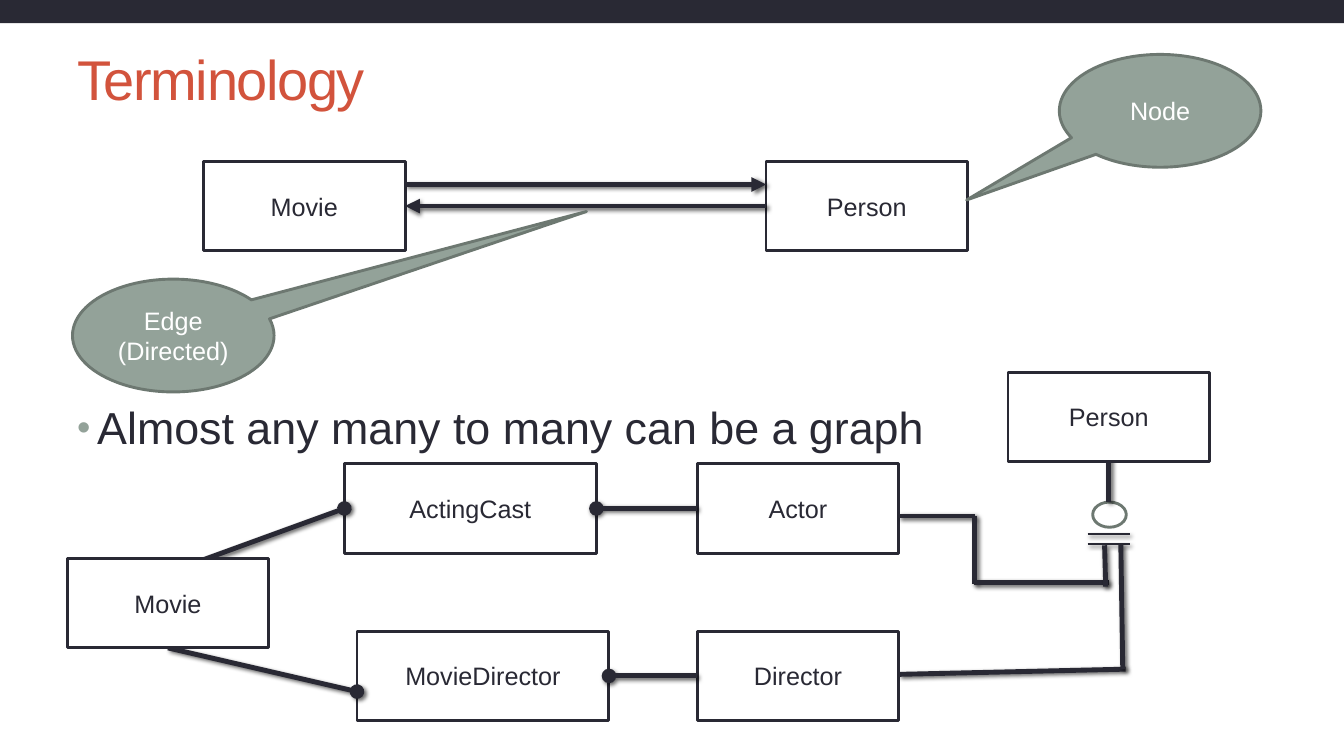
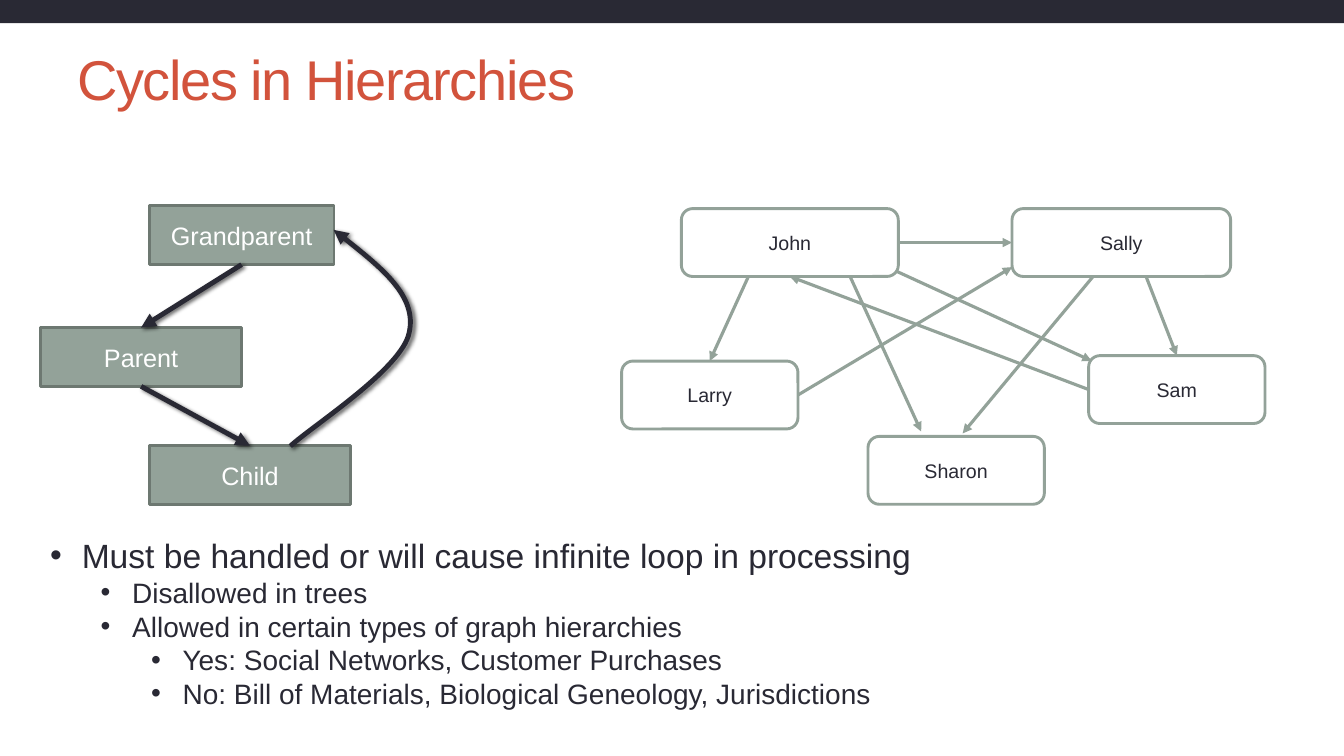
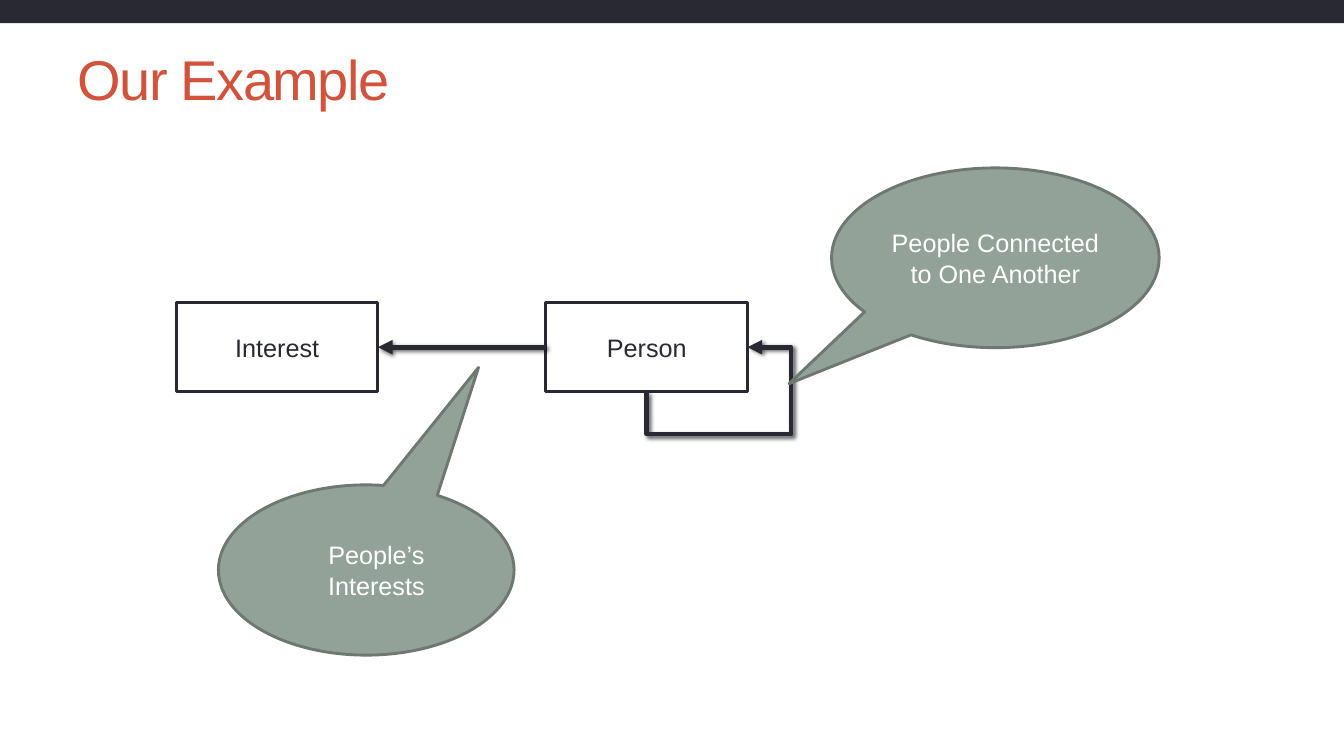
from lxml import etree
from pptx import Presentation
from pptx.dml.color import RGBColor
from pptx.enum.shapes import MSO_CONNECTOR, MSO_SHAPE
from pptx.enum.text import MSO_ANCHOR, PP_ALIGN
from pptx.oxml.ns import qn
from pptx.util import Pt

RECTANGLE, ROUNDED = MSO_SHAPE.RECTANGLE, MSO_SHAPE.ROUNDED_RECTANGLE
OVAL, CALLOUT = MSO_SHAPE.OVAL, MSO_SHAPE.OVAL_CALLOUT
STRAIGHT, ELBOW = MSO_CONNECTOR.STRAIGHT, MSO_CONNECTOR.ELBOW
MIDDLE, TOP_ANCHOR = MSO_ANCHOR.MIDDLE, MSO_ANCHOR.TOP
ALIGN_LEFT, ALIGN_CENTER = PP_ALIGN.LEFT, PP_ALIGN.CENTER

FONT = "Arial"
DARK = RGBColor(0x29, 0x29, 0x34)
RED = RGBColor(0xD2, 0x53, 0x3C)
SAGE = RGBColor(0x93, 0xA2, 0x99)
DEEP_SAGE = RGBColor(0x6D, 0x78, 0x71)
WHITE = RGBColor(0xFF, 0xFF, 0xFF)

# Looks: fill, outline, text colour, text size
PLAIN = (WHITE, DARK, DARK, 18)
FILLED = (SAGE, DEEP_SAGE, WHITE, 18)
NETWORK = (WHITE, SAGE, DARK, 14)
RING = (WHITE, DEEP_SAGE, DARK, 18)

# Anchor points as fractions of a box
LEFT, RIGHT, TOP, BOTTOM = (0, 0.5), (1, 0.5), (0.5, 0), (0.5, 1)
CENTER = (0.5, 0.5)

# Terminology: boxes are label, left, top, width, height
WIDTH, HEIGHT = 144, 64
TERM_BOXES = {
    "top person": ("Person", 547.2, 115.2, WIDTH, HEIGHT),
    "top movie": ("Movie", 145.4, 115.2, WIDTH, HEIGHT),
    "actor": ("Actor", 498, 331.2, WIDTH, HEIGHT),
    "cast": ("ActingCast", 246, 331.2, 180, HEIGHT),
    "director": ("Director", 498, 450.8, WIDTH, HEIGHT),
    "movie director": ("MovieDirector", 255, 450.8, 180, HEIGHT),
}
TERM_FRONT_BOXES = {
    "movie": ("Movie", 48, 398.8, WIDTH, HEIGHT),
    "person": ("Person", 720, 265.8, WIDTH, HEIGHT),
}
# Edges are start, end, end marker; an end is (box, anchor) or (x, y)
TERM_EDGES = [
    (("top person", LEFT), ("top movie", RIGHT), "triangle"),
    ((289.4, 131.8), (547.2, 131.8), "triangle"),
    ((120, 409), ("cast", LEFT), "oval"),
    (("actor", LEFT), ("cast", RIGHT), "oval"),
    (("movie", BOTTOM), (255, 494), "oval"),
    (("director", LEFT), ("movie director", RIGHT), "oval"),
    (("person", CENTER), (792, 358.6), None),
    ((642, 481.7), (804, 478), None),
    ((642, 368.6), (696.2, 368.6), None),
    ((696.2, 368.6), (696.2, 417), None),
    ((695.5, 416.2), (792, 416.2), None),
    ((789, 389.5), (789.8, 419), None),
    ((800.6, 388.8), (802, 478), None),
]
SUBTYPE_RING = ("", 780.5, 358.6, 24, 18)
SUBTYPE_BARS = [((776.9, y), (807.1, y), None) for y in (381.6, 388.8)]
# Callouts are box, pointer tip, extra left inset
TERM_CALLOUTS = [
    (("Node", 756.7, 38.9, WIDTH, 80.6), (-0.96, 0.79), 0),
    (("Edge (Directed)", 51.8, 199.4, WIDTH, 80.6), (2.05, -1.1), 0),
]
TERM_BULLETS = [(0, "Almost any many to many can be a graph", 32)]

# Cycles in Hierarchies
FAMILY_BOXES = {
    "parent": ("Parent", 28.8, 234, WIDTH, 42),
    "grandparent": ("Grandparent", 106.6, 147, 132, 42),
    "child": ("Child", 106.6, 318.4, WIDTH, 42),
}
FAMILY_EDGES = [
    (("grandparent", BOTTOM), ("parent", TOP), "triangle"),
    (("parent", BOTTOM), ("child", TOP), "triangle"),
]
CYCLE_CURVE = [(207.4, 318.7), (222.5, 304.6), (287.3, 263.5), (292.3, 237.6),
               (298.1, 211.7), (268.6, 187.9), (238.3, 164.2)]
NETWORK_BOXES = {
    "Sam": ("Sam", 777.6, 254, 126, 48.5),
    "Larry": ("Larry", 444, 257.9, 126, 48.5),
    "John": ("John", 486.7, 149, 155, 48.5),
    "Sally": ("Sally", 722.9, 149, 156.2, 48.5),
    "Sharon": ("Sharon", 620, 311.7, 126, 48.5),
}
NETWORK_EDGES = [
    (("Larry", RIGHT), (723, 190.8), "triangle"),
    ((596.2, 173.5), (779.8, 257.8), "triangle"),
    ((545.8, 173), ("Larry", TOP), "triangle"),
    ((596.2, 173.5), (658, 308.2), "triangle"),
    (("Sally", CENTER), (687.6, 309.6), "triangle"),
    ((809.3, 173.5), ("Sam", TOP), "triangle"),
    (("John", RIGHT), ("Sally", LEFT), "triangle"),
    (("Sam", LEFT), ("John", BOTTOM), "triangle"),
]
CYCLE_BULLETS = [
    (0, "Must be handled or will cause infinite loop in processing", 24),
    (1, "Disallowed in trees", 20),
    (1, "Allowed in certain types of graph hierarchies", 20),
    (2, "Yes: Social Networks, Customer Purchases", 20),
    (2, "No: Bill of Materials, Biological Geneology, Jurisdictions", 20),
]

# Our Example
EXAMPLE_BOXES = {
    "interest": ("Interest", 126, 216, WIDTH, HEIGHT),
    "person": ("Person", 390, 216, WIDTH, HEIGHT),
}
EXAMPLE_EDGES = [(("person", LEFT), ("interest", RIGHT), "triangle")]
EXAMPLE_CALLOUTS = [
    (("People Connected to One Another", 594, 120, 234, 128.4), (-0.63, 0.7), 0),
    (("People’s Interests", 156, 346.4, 211.2, 121.6), (0.38, -1.19), 14.4),
]


def add_element(parent, tag, **attributes):
    return etree.SubElement(parent, qn(tag), attributes)


def points(*lengths):
    return [Pt(length) for length in lengths]


def write(paragraph, text, size, color):
    run = paragraph.add_run()
    run.text = text
    run.font.name, run.font.size = FONT, Pt(size)
    run.font.color.rgb = color
    return run


def new_slide(presentation, title):
    """Add a slide with the top band and its title."""
    slide = presentation.slides.add_slide(presentation.slide_layouts[5])
    band = slide.shapes.add_shape(RECTANGLE, *points(0, -0.7, 960, 17.3))
    band.shadow.inherit = False
    band.fill.solid()
    band.fill.fore_color.rgb = DARK
    band.line.fill.background()

    placeholder = slide.shapes.title
    placeholder.left, placeholder.top, placeholder.width, placeholder.height = \
        points(48, 21.6, 856, 68.4)
    placeholder.text_frame.vertical_anchor = MIDDLE
    paragraph = placeholder.text_frame.paragraphs[0]
    paragraph.alignment = ALIGN_LEFT
    run = write(paragraph, title, 40, RED)
    run.font._element.set("spc", "-100")
    return slide


def add_box(slide, box, look, preset=RECTANGLE):
    label, *place = box
    fill, outline, text_color, size = look
    shape = slide.shapes.add_shape(preset, *points(*place))
    shape.shadow.inherit = False
    shape.fill.solid()
    shape.fill.fore_color.rgb = fill
    shape.line.color.rgb = outline
    shape.line.width = Pt(2.08)
    if label:
        shape.text_frame.vertical_anchor = MIDDLE
        paragraph = shape.text_frame.paragraphs[0]
        paragraph.alignment = ALIGN_CENTER
        write(paragraph, label, size, text_color)
    return shape


def add_boxes(slide, boxes, look, preset=RECTANGLE):
    for box in boxes.values():
        add_box(slide, box, look, preset)


def add_callouts(slide, callouts):
    for box, tip, extra_inset in callouts:
        shape = add_box(slide, box, FILLED, CALLOUT)
        shape.adjustments[0], shape.adjustments[1] = tip
        shape.text_frame.margin_left = Pt(7.2 + extra_inset)


def style_line(shape, color, width, marker, shadow):
    """Give a connector or open outline its stroke, end marker and shadow."""
    shape.line.color.rgb = color
    shape.line.width = Pt(width)
    properties = shape._element.spPr
    if marker:
        add_element(properties.get_or_add_ln(), "a:tailEnd", type=marker)
    effects = add_element(properties, "a:effectLst")
    if shadow:
        outer = add_element(effects, "a:outerShdw", blurRad=str(Pt(3)),
                            dist=str(Pt(2)), dir="2700000", rotWithShape="0")
        tint = add_element(outer, "a:srgbClr", val="000000")
        add_element(tint, "a:alpha", val="60000")


def locate(end, boxes):
    if not isinstance(end[0], str):
        return points(*end)
    _, left, top, width, height = boxes[end[0]]
    across, down = end[1]
    return points(left + across * width, top + down * height)


def add_edges(slide, edges, boxes, color=DARK, width=3.5, shadow=True):
    for start, end, marker in edges:
        connector = slide.shapes.add_connector(
            STRAIGHT, *locate(start, boxes), *locate(end, boxes))
        style_line(connector, color, width, marker, shadow)


def add_curve(slide, curve):
    """Draw a Bezier curve from a start point and triples of control points."""
    start, *rest = [points(*point) for point in curve]
    builder = slide.shapes.build_freeform(*start)
    builder.add_line_segments(rest, close=False)
    shape = builder.convert_to_shape()
    shape.fill.background()
    outline = shape._element.find(".//" + qn("a:path"))
    segments = outline.findall(qn("a:lnTo"))
    for first in range(0, len(segments), 3):
        bezier = add_element(outline, "a:cubicBezTo")
        for segment in segments[first:first + 3]:
            bezier.append(segment[0])
            outline.remove(segment)
    style_line(shape, DARK, 3.5, "triangle", True)


def add_self_loop(slide, box, drop, reach):
    """Route an arrow from the bottom of a box round to its right side."""
    _, left, top, width, height = box
    span, rise = width / 2, height / 2
    middle_x, middle_y = left + width * 0.75, top + height * 0.75
    # The frame is turned a quarter, so its sides are swapped
    connector = slide.shapes.add_connector(
        ELBOW, *points(middle_x + rise / 2, middle_y + span / 2,
                       middle_x - rise / 2, middle_y - span / 2))
    properties = connector._element.spPr
    properties.find(qn("a:xfrm")).set("rot", "5400000")
    geometry = properties.find(qn("a:prstGeom"))
    geometry.set("prst", "bentConnector4")
    guides = geometry.find(qn("a:avLst"))
    if guides is None:
        guides = add_element(geometry, "a:avLst")
    for name, ratio in (("adj1", -drop / rise), ("adj2", 1 + reach / span)):
        add_element(guides, "a:gd", name=name, fmla=f"val {round(ratio * 100000)}")
    style_line(connector, DARK, 3.5, "triangle", True)


def add_bullets(slide, place, bullets, hang, bullet_color=DARK, bullet_percent=100):
    box = slide.shapes.add_textbox(*points(*place))
    frame = box.text_frame
    frame.word_wrap = True
    frame.vertical_anchor = TOP_ANCHOR
    for index, (level, text, size) in enumerate(bullets):
        paragraph = frame.add_paragraph() if index else frame.paragraphs[0]
        paragraph.level = level
        properties = paragraph._p.get_or_add_pPr()
        properties.set("marL", str(Pt(hang + 36 * level)))
        properties.set("indent", str(Pt(-hang)))
        color = add_element(properties, "a:buClr")
        add_element(color, "a:srgbClr", val=str(bullet_color))
        add_element(properties, "a:buSzPct", val=str(bullet_percent * 1000))
        add_element(properties, "a:buFont", typeface=FONT)
        add_element(properties, "a:buChar", char="•")
        write(paragraph, text, size, DARK)


def build_terminology(presentation):
    slide = new_slide(presentation, "Terminology")
    add_bullets(slide, (48, 282.2, 864, 221.8), TERM_BULLETS, 14.4, SAGE, 85)
    add_boxes(slide, TERM_BOXES, PLAIN)
    add_box(slide, SUBTYPE_RING, RING, OVAL)
    add_edges(slide, SUBTYPE_BARS, {}, width=1.25)
    add_edges(slide, TERM_EDGES, TERM_BOXES | TERM_FRONT_BOXES)
    add_boxes(slide, TERM_FRONT_BOXES, PLAIN)
    add_callouts(slide, TERM_CALLOUTS)


def build_cycles(presentation):
    slide = new_slide(presentation, "Cycles in Hierarchies")
    add_edges(slide, NETWORK_EDGES, NETWORK_BOXES, SAGE, 2.25, False)
    add_boxes(slide, NETWORK_BOXES, NETWORK, ROUNDED)
    add_boxes(slide, FAMILY_BOXES, FILLED)
    add_edges(slide, FAMILY_EDGES, FAMILY_BOXES)
    add_curve(slide, CYCLE_CURVE)
    add_bullets(slide, (28.8, 378.7, 829.4, 133.2), CYCLE_BULLETS, 22.5)


def build_example(presentation):
    slide = new_slide(presentation, "Our Example")
    add_boxes(slide, EXAMPLE_BOXES, PLAIN)
    add_edges(slide, EXAMPLE_EDGES, EXAMPLE_BOXES)
    add_self_loop(slide, EXAMPLE_BOXES["person"], drop=30, reach=31)
    add_callouts(slide, EXAMPLE_CALLOUTS)


def main():
    presentation = Presentation()
    presentation.slide_width, presentation.slide_height = points(960, 540)
    build_terminology(presentation)
    build_cycles(presentation)
    build_example(presentation)
    presentation.save("out.pptx")


if __name__ == "__main__":
    main()
